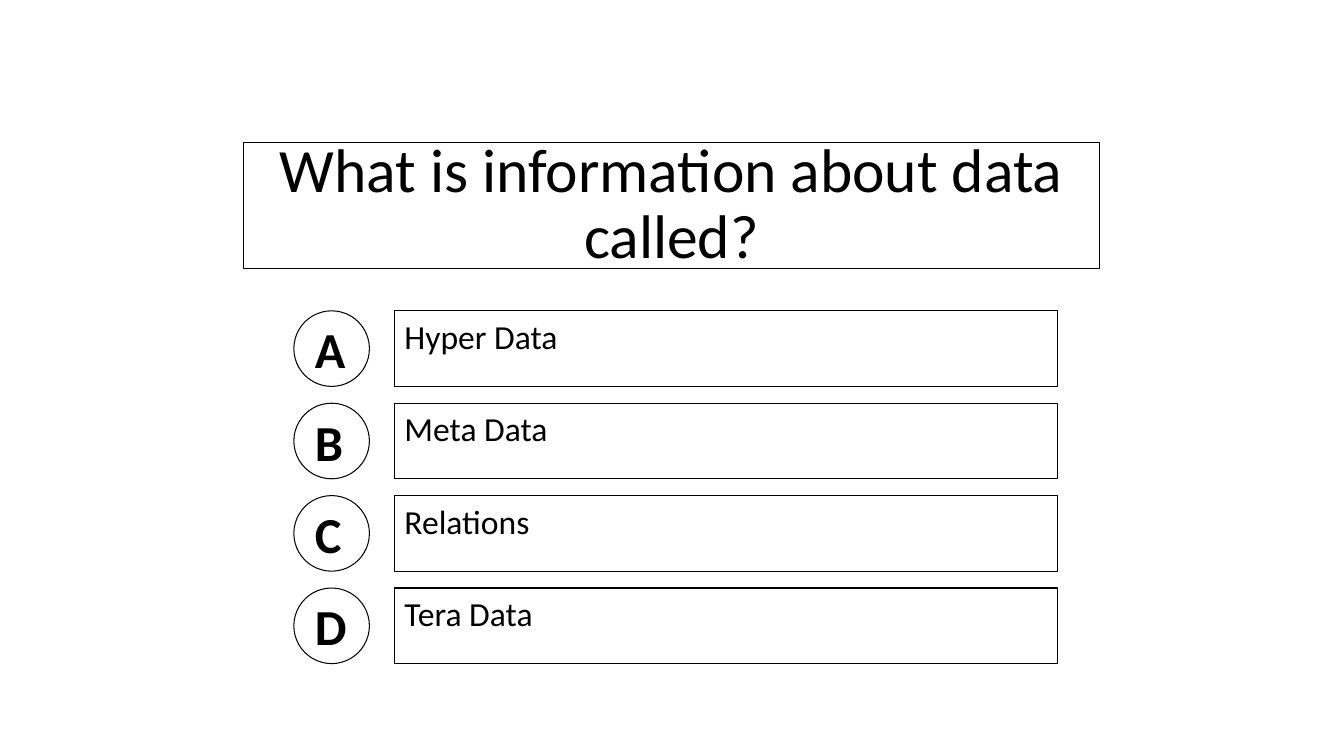
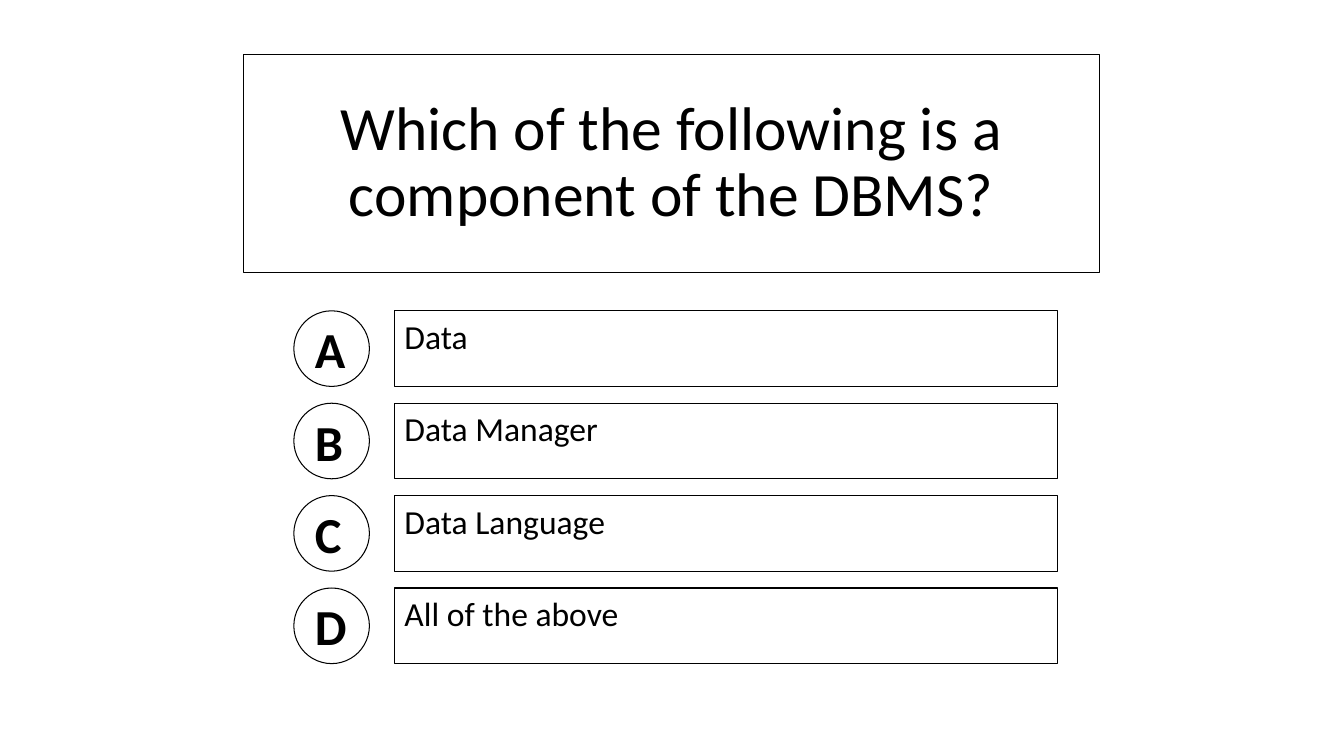
from pptx import Presentation
from pptx.dml.color import RGBColor
from pptx.enum.shapes import MSO_SHAPE
from pptx.enum.text import MSO_ANCHOR, MSO_AUTO_SIZE, PP_ALIGN
from pptx.util import Pt

OVAL, RECTANGLE = MSO_SHAPE.OVAL, MSO_SHAPE.RECTANGLE
TOP, MIDDLE = MSO_ANCHOR.TOP, MSO_ANCHOR.MIDDLE
LEFT, CENTER = PP_ALIGN.LEFT, PP_ALIGN.CENTER
NO_AUTOFIT = MSO_AUTO_SIZE.NONE

QUESTIONS = [
    {
        "question": "What is information about data called?",
        "top": 102,
        "height": 90,
        "answers": ["Hyper Data", "Meta Data", "Relations", "Tera Data"],
    },
    {
        "question": "Which of the following is a component of the DBMS?",
        "top": 39,
        "height": 156,
        "answers": ["Data", "Data Manager", "Data Language", "All of the above"],
    },
]
LETTERS = "ABCD"

BLACK = RGBColor(0x00, 0x00, 0x00)
WHITE = RGBColor(0xFF, 0xFF, 0xFF)
FONT = "Calibri"
OUTLINE = 0.75

SLIDE_WIDTH, SLIDE_HEIGHT = 960.48, 540
QUESTION_LEFT, QUESTION_WIDTH = 174, 612
LETTER_LEFT = 210
ANSWER_LEFT, ANSWER_WIDTH = 282, 474
ROWS_TOP, ROW_HEIGHT, ROW_GAP = 222, 54, 12.5


def write(shape, text, size, bold=False, align=LEFT, anchor=TOP, wrap=False,
          line_spacing=None):
    frame = shape.text_frame
    frame.auto_size = NO_AUTOFIT
    frame.word_wrap = wrap
    frame.vertical_anchor = anchor
    paragraph = frame.paragraphs[0]
    paragraph.alignment = align
    paragraph.line_spacing = line_spacing
    run = paragraph.add_run()
    run.text = text
    run.font.name = FONT
    run.font.size = Pt(size)
    run.font.bold = bold
    run.font.color.rgb = BLACK


def outline(shape, fill=None):
    if fill is None:
        shape.fill.background()
    else:
        shape.fill.solid()
        shape.fill.fore_color.rgb = fill
    shape.line.color.rgb = BLACK
    shape.line.width = Pt(OUTLINE)


def add_outlined(slide, kind, left, top, width, fill=None):
    """Add one shape of an answer row, as high as the row."""
    shape = slide.shapes.add_shape(kind, Pt(left), Pt(top), Pt(width), Pt(ROW_HEIGHT))
    shape.shadow.inherit = False
    outline(shape, fill)
    return shape


def add_question(slide, text, top, height):
    title = slide.shapes.title
    title.left, title.top = Pt(QUESTION_LEFT), Pt(top)
    title.width, title.height = Pt(QUESTION_WIDTH), Pt(height)
    outline(title)
    write(title, text, 44, align=CENTER, anchor=MIDDLE, wrap=True, line_spacing=0.9)


def add_answers(slide, answers):
    for row, (letter, answer) in enumerate(zip(LETTERS, answers)):
        top = ROWS_TOP + row * (ROW_HEIGHT + ROW_GAP - 0.5)
        circle = add_outlined(slide, OVAL, LETTER_LEFT, top, ROW_HEIGHT)
        write(circle, letter, 36, bold=True, anchor=MIDDLE)
        box = add_outlined(slide, RECTANGLE, ANSWER_LEFT, top, ANSWER_WIDTH, fill=WHITE)
        write(box, answer, 24)


def main():
    deck = Presentation()
    deck.slide_width, deck.slide_height = Pt(SLIDE_WIDTH), Pt(SLIDE_HEIGHT)
    title_only = deck.slide_layouts[5]
    for quiz in QUESTIONS:
        slide = deck.slides.add_slide(title_only)
        add_question(slide, quiz["question"], quiz["top"], quiz["height"])
        add_answers(slide, quiz["answers"])
    deck.save("out.pptx")


if __name__ == "__main__":
    main()
